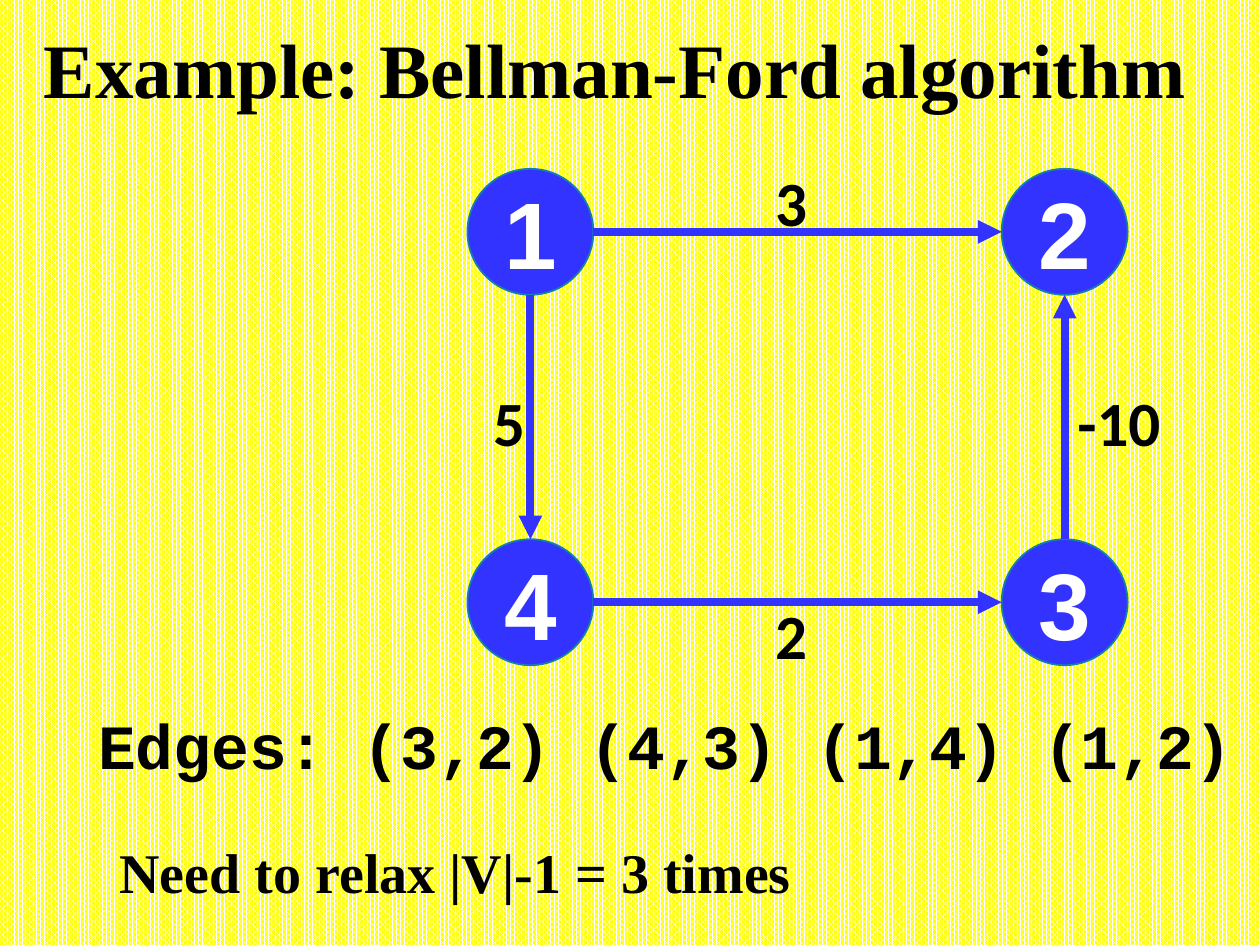
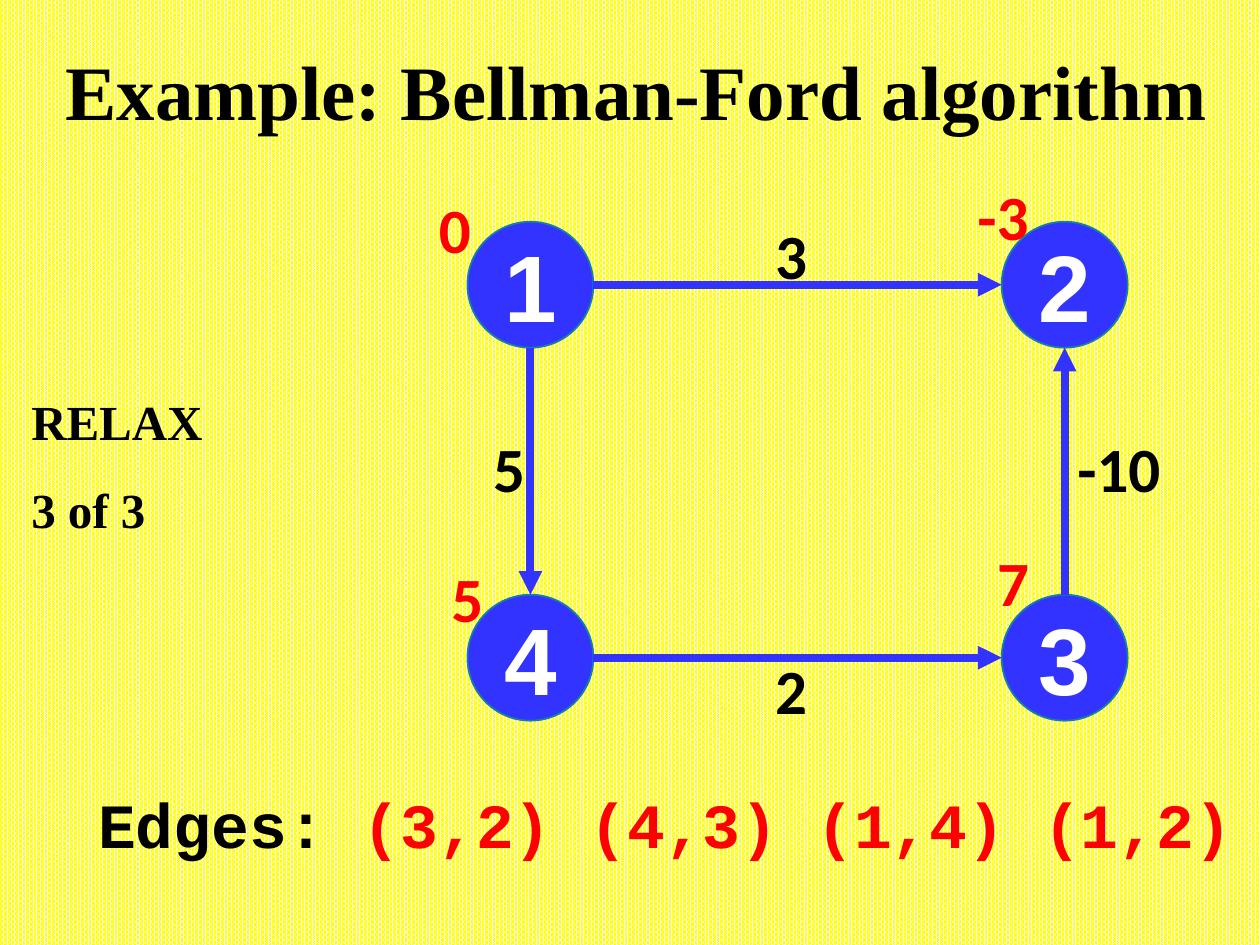
from lxml import etree
from pptx import Presentation
from pptx import util as u
from pptx.dml.color import RGBColor
from pptx.enum import dml, shapes, text
from pptx.oxml.ns import qn

# Lengths are cells of a grid of 10 columns by 7.5 rows; one cell is an inch.
COLUMNS, ROWS = 10, 7.5
BLACK, WHITE, RED = "000000", "FFFFFF", "FF0000"
YELLOW, BLUE, RIM = "FFFF00", "3333FF", "1580A9"
SERIF, SANS, MONO, LABEL = "Times New Roman", "Arial", "Courier New", "Calibri"

TITLE = "Example: Bellman-Ford algorithm"
EDGE_LIST = "(3,2) (4,3) (1,4) (1,2)"
NODE_SIZE = 1
LABEL_SIZE = (1, 0.71)
LEFT_COLUMN, RIGHT_COLUMN = 4.21, 8.45

# start node, end node, weight, offset of the weight from the edge's middle
EDGES = [
    ("1", "2", "3", -0.05, -0.24),
    ("1", "4", "5", -0.17, 0),
    ("3", "2", "-10", 0.43, 0),
    ("4", "3", "2", -0.05, 0.25),
]
# node, distance, offset of the distance from the node's centre
DISTANCES = [
    ("1", "0", -0.6, -0.45),
    ("4", "5", -0.5, -0.48),
    ("2", "-3", -0.49, -0.55),
    ("3", "7", -0.41, -0.61),
]


def color(value):
    return RGBColor.from_string(value)


def cells(*counts):
    return [u.Inches(count) for count in counts]


def add_page(deck):
    page = deck.slides.add_slide(deck.slide_layouts[6])
    fill = page.background.fill
    fill.patterned()
    fill.pattern = dml.MSO_PATTERN.PERCENT_80
    fill.fore_color.rgb = color(WHITE)
    fill.back_color.rgb = color(YELLOW)
    return page


def write(shape, words, font, size, ink=BLACK, centred=True, spacing=1.0):
    frame = shape.text_frame
    frame.word_wrap = True
    frame.vertical_anchor = text.MSO_ANCHOR.MIDDLE
    frame.text = words
    for para in frame.paragraphs:
        para.alignment = text.PP_ALIGN.CENTER if centred else text.PP_ALIGN.LEFT
        para.line_spacing = spacing
        for span in para.runs:
            style(span, font, size, ink)


def style(span, font, size, ink):
    span.font.name = font
    span.font.size = u.Pt(size)
    span.font.bold = True
    span.font.color.rgb = color(ink)


def add_text(page, place, words, font, size, **look):
    box = page.shapes.add_textbox(*cells(*place))
    write(box, words, font, size, **look)
    return box


def add_title(page, left, top):
    add_text(page, (left, top, 9.43, 0.87), TITLE, SERIF, 44,
             centred=False, spacing=0.9)


def add_edge_list(page, top, ink):
    box = add_text(page, (0.56, top, 9.44, 0.71), "Edges: ", MONO, 36)
    span = box.text_frame.paragraphs[0].add_run()
    span.text = EDGE_LIST
    style(span, MONO, 36, ink)


def add_label(page, centre, offset, words, ink=BLACK):
    width, height = LABEL_SIZE
    left = centre[0] + offset[0] - width / 2
    top = centre[1] + offset[1] - height / 2
    add_text(page, (left, top, width, height), words, LABEL, 36, ink=ink)


def add_node(page, centre, name):
    left, top = (middle - NODE_SIZE / 2 for middle in centre)
    node = page.shapes.add_shape(shapes.MSO_SHAPE.OVAL,
                                 *cells(left, top, NODE_SIZE, NODE_SIZE))
    node.shadow.inherit = False
    node.fill.solid()
    node.fill.fore_color.rgb = color(BLUE)
    node.line.color.rgb = color(RIM)
    node.line.width = u.Pt(1)
    write(node, name, SANS, 54, ink=WHITE)


def rim_point(centre, target):
    """Return the point of a node's rim that faces a target in its row or column."""
    reach = NODE_SIZE / 2
    return [here + max(-reach, min(reach, there - here))
            for here, there in zip(centre, target)]


def add_arrow(page, start, end):
    arrow = page.shapes.add_connector(shapes.MSO_CONNECTOR.STRAIGHT,
                                      *cells(*rim_point(start, end)),
                                      *cells(*rim_point(end, start)))
    arrow.line.color.rgb = color(BLUE)
    arrow.line.width = u.Pt(4.5)
    etree.SubElement(arrow.line._get_or_add_ln(), qn("a:tailEnd"), type="triangle")
    etree.SubElement(arrow._element.spPr, qn("a:effectLst"))


def add_graph(page, upper_row, lower_row, side_shift):
    """Draw the weighted graph and return its node centres.

    side_shift moves the weights of the upright edges down."""
    centres = {
        "1": (LEFT_COLUMN, upper_row), "4": (LEFT_COLUMN, lower_row),
        "2": (RIGHT_COLUMN, upper_row), "3": (RIGHT_COLUMN, lower_row),
    }
    for name, centre in centres.items():
        add_node(page, centre, name)
    for start, end, *_ in EDGES:
        add_arrow(page, centres[start], centres[end])
    for start, end, weight, right, down in EDGES:
        ends = centres[start], centres[end]
        middle = [sum(pair) / 2 for pair in zip(*ends)]
        upright = ends[0][0] == ends[1][0]
        add_label(page, middle, (right, down + side_shift * upright), weight)
    return centres


def add_graph_page(deck):
    page = add_page(deck)
    add_title(page, 0.25, 0.15)
    add_graph(page, 1.84, 4.78, 0.03)
    add_edge_list(page, 5.55, BLACK)
    add_text(page, (0.85, 6.51, 8.87, 0.87), "Need to relax |V|-1 = 3 times",
             SERIF, 32, centred=False, spacing=0.9)


def add_last_relax_page(deck):
    page = add_page(deck)
    add_title(page, 0.42, 0.32)
    add_text(page, (0.15, 2.82, 1.9, 1.51), "RELAX\n3 of 3", SERIF, 28,
             centred=False, spacing=1.5)
    centres = add_graph(page, 2.26, 5.22, -0.03)
    add_edge_list(page, 6.18, RED)
    for node, distance, *offset in DISTANCES:
        add_label(page, centres[node], offset, distance, RED)


def main():
    deck = Presentation()
    deck.slide_width, deck.slide_height = cells(COLUMNS, ROWS)
    add_graph_page(deck)
    add_last_relax_page(deck)
    deck.save("out.pptx")


if __name__ == "__main__":
    main()
